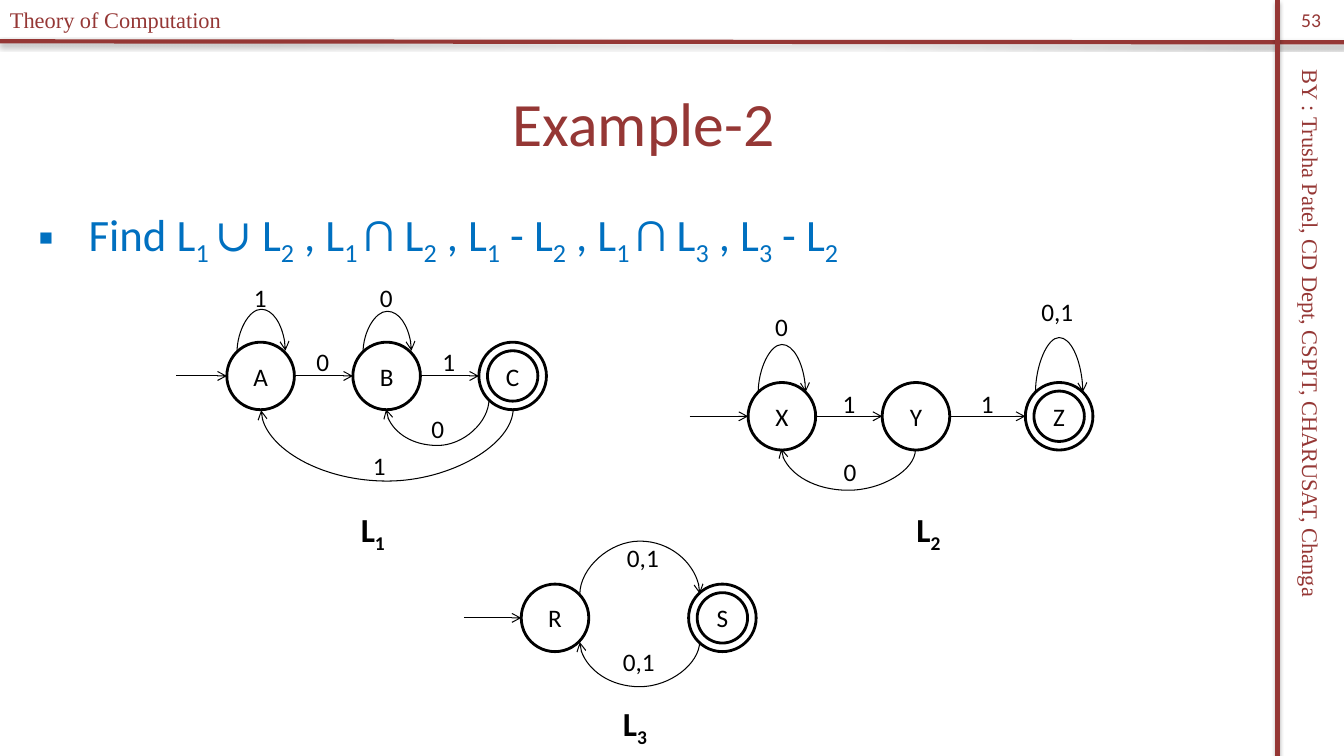
from lxml import etree
from pptx import Presentation
from pptx.dml.color import RGBColor
from pptx.enum.shapes import MSO_CONNECTOR as Link, MSO_SHAPE as Preset
from pptx.enum.text import MSO_ANCHOR as Anchor, PP_ALIGN as Align
from pptx.oxml.ns import qn
from pptx.util import Inches, Pt

MAROON = RGBColor(0x95, 0x37, 0x35)
BLUE = RGBColor(0x00, 0x70, 0xC0)
BLACK = RGBColor(0x00, 0x00, 0x00)
WHITE = RGBColor(0xFF, 0xFF, 0xFF)
BODY_FONT, MATH_FONT, FRAME_FONT = "Calibri", "Cambria", "Times New Roman"
DIAMETER, INNER_DIAMETER = 0.67, 0.5
RADIUS = DIAMETER / 2


def add_run(paragraph, text, size, color, font=BODY_FONT, bold=False, subscript=False):
    run = paragraph.add_run()
    run.text = text
    run.font.size = Pt(size)
    run.font.name = font
    run.font.bold = bold
    run.font.color.rgb = color
    if subscript:
        run.font._element.set("baseline", "-25000")


def add_box(slide, left, top, width, height, wrap=True, anchor=Anchor.TOP, align=Align.LEFT):
    box = slide.shapes.add_textbox(Inches(left), Inches(top), Inches(width), Inches(height))
    box.text_frame.word_wrap = wrap
    box.text_frame.vertical_anchor = anchor
    paragraph = box.text_frame.paragraphs[0]
    paragraph.alignment = align
    return box, paragraph


def add_line(slide, kind, x1, y1, x2, y2, color=BLACK, weight=0.75, arrow=True):
    line = slide.shapes.add_connector(kind, Inches(x1), Inches(y1), Inches(x2), Inches(y2))
    line.line.color.rgb = color
    line.line.width = Pt(weight)
    if arrow:
        etree.SubElement(line.line._get_or_add_ln(), qn("a:tailEnd"), type="arrow")
    effects = etree.SubElement(line._element.spPr, qn("a:effectLst"))
    return line, effects


def add_rule(slide, x1, y1, x2, y2):
    _, effects = add_line(slide, Link.STRAIGHT, x1, y1, x2, y2, MAROON, 3, arrow=False)
    shadow = etree.SubElement(effects, qn("a:outerShdw"), blurRad=str(Pt(3.1)),
                              dist=str(Pt(1.8)), dir="5400000", rotWithShape="0")
    color = etree.SubElement(shadow, qn("a:srgbClr"), val=str(BLACK))
    etree.SubElement(color, qn("a:alpha"), val="35000")


def add_arc(slide, x1, y1, x2, y2, peak):
    center_x, center_y = (x1 + x2) / 2, (y1 + y2) / 2
    half_x, half_y = (y2 - y1) / 2, (x1 - x2) / 2
    arc, _ = add_line(slide, Link.CURVE, center_x - half_x, center_y - half_y,
                      center_x + half_x, center_y + half_y)
    arc.rotation = 90
    geometry = arc._element.spPr.find(qn("a:prstGeom"))
    adjustments = geometry.find(qn("a:avLst"))
    if adjustments is None:
        adjustments = etree.SubElement(geometry, qn("a:avLst"))
    bend = round((peak - y1) / (y2 - y1) * 100000)
    etree.SubElement(adjustments, qn("a:gd"), name="adj1", fmla=f"val {bend}")


def add_circle(slide, center_x, center_y, diameter, filled=True):
    circle = slide.shapes.add_shape(
        Preset.OVAL, Inches(center_x - diameter / 2), Inches(center_y - diameter / 2),
        Inches(diameter), Inches(diameter))
    circle.shadow.inherit = False
    if filled:
        circle.fill.solid()
        circle.fill.fore_color.rgb = WHITE
    else:
        circle.fill.background()
    circle.line.color.rgb = BLACK
    circle.line.width = Pt(2)
    return circle


def add_state(slide, center_x, center_y, name, accepting):
    frame = add_circle(slide, center_x, center_y, DIAMETER).text_frame
    frame.word_wrap = False
    frame.vertical_anchor = Anchor.MIDDLE
    paragraph = frame.paragraphs[0]
    paragraph.alignment = Align.CENTER
    add_run(paragraph, name, 18, BLACK)
    if accepting:
        add_circle(slide, center_x, center_y, INNER_DIAMETER, filled=False)


def draw_automaton(slide, left, middle, number, name_at, states, entry, arcs, labels, chained=True):
    for name, offset in states:
        add_state(slide, left + offset + RADIUS, middle, name, name == states[-1][0])
    add_line(slide, Link.STRAIGHT, left - entry, middle, left, middle)
    if chained:
        for (_, start), (_, end) in zip(states, states[1:]):
            add_line(slide, Link.STRAIGHT, left + start + DIAMETER, middle, left + end, middle)
    for x1, y1, x2, y2, peak in arcs:
        add_arc(slide, left + x1, middle + y1, left + x2, middle + y2, middle + peak)
    for text, x, y in labels:
        width = 0.33 if len(text) == 1 else 0.55
        _, paragraph = add_box(slide, left + x, middle + y, width, 0.4, wrap=False)
        add_run(paragraph, text, 18, BLACK)
    x, y = name_at
    _, paragraph = add_box(slide, left + x, middle + y, 0.46, 0.5, wrap=False)
    add_run(paragraph, "L", 24, BLACK, bold=True)
    add_run(paragraph, number, 24, BLACK, bold=True, subscript=True)


def draw_frame(slide, width, height):
    add_rule(slide, 0, 0.41, width, 0.42)
    add_rule(slide, width - 0.66, 0, width - 0.66, height)
    author, paragraph = add_box(slide, width - 3.54, 3.62, 6.42, 0.37)
    author.rotation = 90
    add_run(paragraph, "BY : Trusha Patel, CD Dept, CSPIT, CHARUSAT, Changa", 16, MAROON, FRAME_FONT)
    _, paragraph = add_box(slide, 0, 0.01, 3.29, 0.37)
    add_run(paragraph, "Theory of Computation", 16, MAROON, FRAME_FONT)
    _, paragraph = add_box(slide, width - 0.66, 0, 0.67, 0.4, anchor=Anchor.MIDDLE, align=Align.CENTER)
    add_run(paragraph, "53", 14, MAROON)


def draw_question(slide, left, top, width):
    _, paragraph = add_box(slide, left, top, width, 1.25, anchor=Anchor.MIDDLE, align=Align.CENTER)
    add_run(paragraph, "Example-2", 44, MAROON)
    _, paragraph = add_box(slide, left, top + 1.42, width, 0.8)
    properties = paragraph._p.get_or_add_pPr()
    properties.set("marL", str(Inches(0.56)))
    properties.set("indent", str(Inches(-0.5)))
    etree.SubElement(properties, qn("a:buFont"), typeface="Arial")
    etree.SubElement(properties, qn("a:buChar"), char="▪")
    operations = [("1", "∪", "2"), ("1", "∩", "2"), ("1", "-", "2"), ("1", "∩", "3"), ("3", "-", "2")]
    for index, (first, operator, second) in enumerate(operations):
        add_run(paragraph, " , L" if index else "Find L", 32, BLUE)
        if operator == "-":
            add_run(paragraph, first, 32, BLUE, subscript=True)
            add_run(paragraph, " - L", 32, BLUE)
        else:
            add_run(paragraph, first + " ", 32, BLUE, subscript=True)
            add_run(paragraph, operator + " ", 32, BLUE, MATH_FONT)
            add_run(paragraph, "L", 32, BLUE)
        add_run(paragraph, second, 32, BLUE, subscript=True)


def main():
    presentation = Presentation()
    presentation.slide_width = Inches(13.33)
    presentation.slide_height = Inches(7.5)
    slide = presentation.slides.add_slide(presentation.slide_layouts[6])
    draw_frame(slide, 13.33, 7.5)
    draw_question(slide, 0.22, 0.58, 12.33)
    draw_automaton(
        slide, 2.25, 3.73, "1", (1.23, 1.27),
        states=[("A", 0), ("B", 1.25), ("C", 2.5)], entry=0.5,
        arcs=[(0.1, -0.23, 0.58, -0.25, -0.66), (1.35, -0.23, 1.83, -0.25, -0.64),
              (2.6, 0.23, 1.58, 0.33, 0.69), (2.84, 0.32, 0.34, 0.34, 1.04)],
        labels=[("1", 1.35, 0.69), ("1", 0.17, -0.98), ("0", 0.79, -0.34),
                ("0", 1.42, -0.98), ("1", 2.04, -0.34), ("0", 1.93, 0.32)])
    draw_automaton(
        slide, 7.42, 4.13, "2", (1.57, 0.87),
        states=[("X", 0), ("Y", 1.33), ("Z", 2.75)], entry=0.58,
        arcs=[(0.1, -0.23, 0.57, -0.24, -0.72), (2.85, -0.23, 3.32, -0.24, -0.79),
              (1.66, 0.33, 0.33, 0.32, 0.74)],
        labels=[("1", 0.84, -0.33), ("1", 2.21, -0.33), ("0", 0.85, 0.35),
                ("0", 0.17, -1.09), ("0,1", 2.81, -1.24)])
    draw_automaton(
        slide, 5.17, 6.13, "3", (0.91, 0.79),
        states=[("R", 0), ("S", 1.66)], entry=0.57, chained=False,
        arcs=[(0.58, -0.23, 1.77, -0.24, -0.77), (1.77, 0.23, 0.58, 0.24, 0.69)],
        labels=[("0,1", 0.95, -0.8), ("0,1", 0.91, 0.23)])
    presentation.save("out.pptx")


if __name__ == "__main__":
    main()
